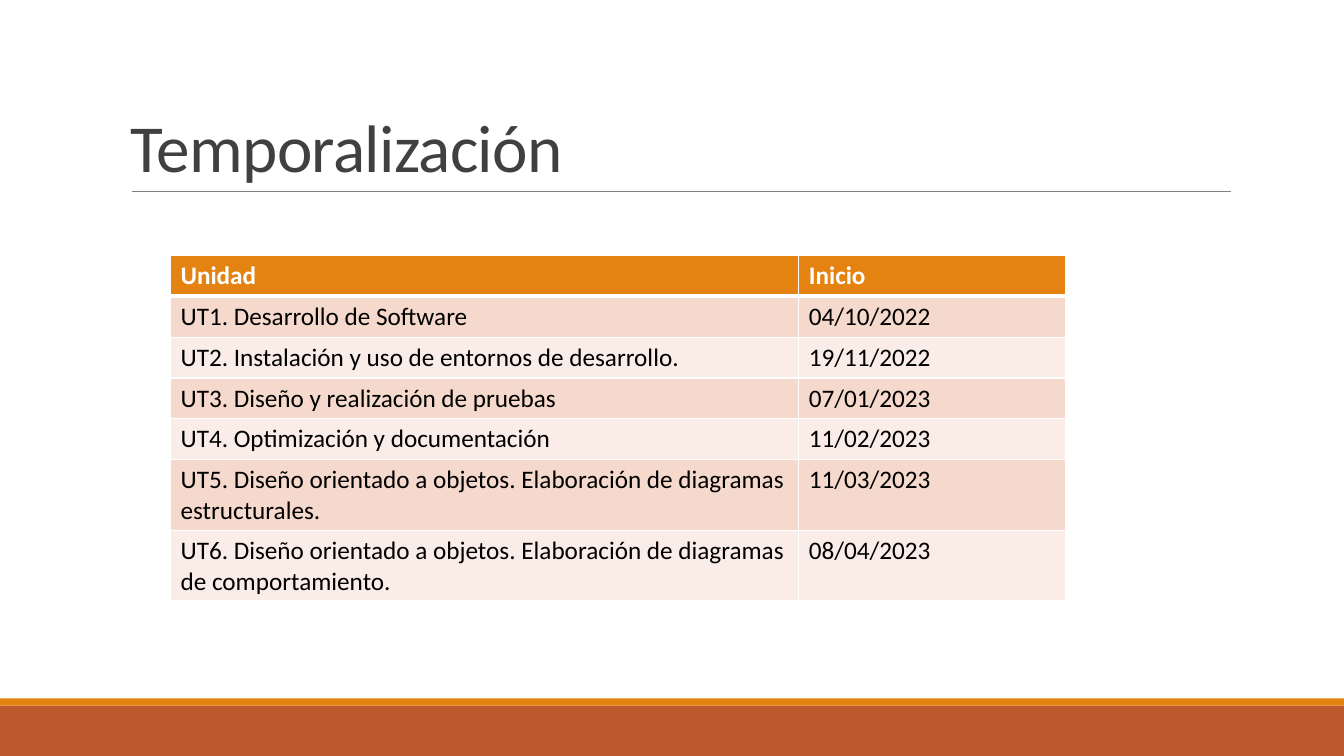
from lxml import etree
from pptx import Presentation
from pptx import util as u
from pptx.dml import color
from pptx.enum import shapes, text
from pptx.oxml import ns


def rgb(value):
    return color.RGBColor.from_string(value)


def add_border(cell, side, width):
    properties = cell._tc.get_or_add_tcPr()
    line = etree.SubElement(properties, ns.qn(f"a:{side}"), w=str(u.Pt(width)))
    fill = etree.SubElement(line, ns.qn("a:solidFill"))
    etree.SubElement(fill, ns.qn("a:srgbClr"), val="FFFFFF")


presentation = Presentation()
presentation.slide_width = u.Pt(960)
presentation.slide_height = u.Pt(540)
slide = presentation.slides.add_slide(presentation.slide_layouts[6])

for top, height, fill in [(504, 36, "BD582C"), (498.8, 5.2, "E48312")]:
    band = slide.shapes.add_shape(
        shapes.MSO_SHAPE.RECTANGLE, 0, u.Pt(top), u.Pt(960), u.Pt(height))
    band.shadow.inherit = False
    band.fill.solid()
    band.fill.fore_color.rgb = rgb(fill)
    band.line.fill.background()

rule = slide.shapes.add_connector(
    shapes.MSO_CONNECTOR.STRAIGHT, u.Pt(94.1), u.Pt(136.8), u.Pt(879), u.Pt(136.8))
rule.line.color.rgb = rgb("808080")
rule.line.width = u.Pt(0.5)
etree.SubElement(rule._element.spPr, ns.qn("a:effectLst"))

title = slide.shapes.add_textbox(u.Pt(86.4), u.Pt(22.6), u.Pt(792), u.Pt(114.2))
title.text_frame.word_wrap = True
title.text_frame.vertical_anchor = text.MSO_ANCHOR.BOTTOM
paragraph = title.text_frame.paragraphs[0]
paragraph.line_spacing = 0.85
run = paragraph.add_run()
run.text = "Temporalización"
run.font.name = "Calibri"
run.font.size = u.Pt(48)
run.font.color.rgb = rgb("404040")
run.font._element.set("spc", "-50")

schedule = [
    ("Unidad", "Inicio"),
    ("UT1. Desarrollo de Software", "04/10/2022"),
    ("UT2. Instalación y uso de entornos de desarrollo.", "19/11/2022"),
    ("UT3. Diseño y realización de pruebas", "07/01/2023"),
    ("UT4. Optimización y documentación", "11/02/2023"),
    ("UT5. Diseño orientado a objetos. Elaboración de diagramas estructurales.", "11/03/2023"),
    ("UT6. Diseño orientado a objetos. Elaboración de diagramas de comportamiento.", "08/04/2023"),
]
table = slide.shapes.add_table(
    len(schedule), 2, u.Pt(121.8), u.Pt(182.4), u.Pt(639.6), u.Pt(204.4)).table
table.columns[0].width = u.Pt(448.8)
table.columns[1].width = u.Pt(190.8)

for row, entries in enumerate(schedule):
    table.rows[row].height = u.Pt(29.2)
    header = row == 0
    fill = "E48312" if header else ("FAEDE7", "F5D9CC")[row % 2]
    for column, entry in enumerate(entries):
        cell = table.cell(row, column)
        add_border(cell, "lnL", 1)
        add_border(cell, "lnR", 1)
        add_border(cell, "lnT", 3 if row == 1 else 1)
        add_border(cell, "lnB", 3 if header else 1)
        cell.fill.solid()
        cell.fill.fore_color.rgb = rgb(fill)
        run = cell.text_frame.paragraphs[0].add_run()
        run.text = entry
        run.font.name = "Calibri"
        run.font.size = u.Pt(18)
        run.font.bold = header
        run.font.color.rgb = rgb("FFFFFF" if header else "000000")

presentation.save("out.pptx")
